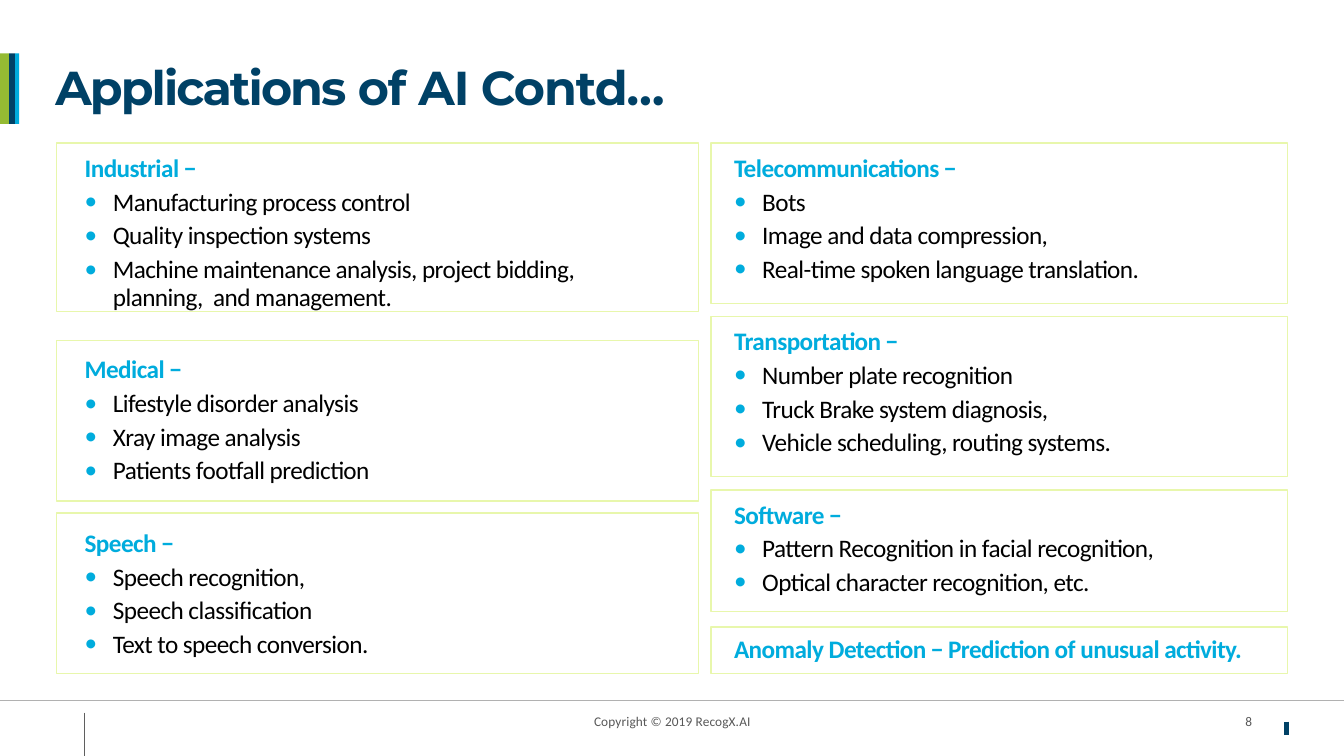
from dataclasses import dataclass

import pptx
import pptx.dml.color
import pptx.enum.shapes
import pptx.enum.text
import pptx.oxml
import pptx.oxml.ns
import pptx.util
from pptx.dml.color import RGBColor
from pptx.util import Inches, Pt

NAVY = RGBColor(0x00, 0x41, 0x66)
CYAN = RGBColor(0x00, 0xAC, 0xDD)
GREEN = RGBColor(0x95, 0xBB, 0x33)
LIME = RGBColor(0xE8, 0xF7, 0xAC)
BLACK = RGBColor(0x00, 0x00, 0x00)
FOOTER_GREY = RGBColor(0x58, 0x58, 0x58)
RULE_GREY = RGBColor(0xB1, 0xB1, 0xB1)
MARK_GREY = RGBColor(0x5F, 0x5F, 0x5F)

ALIGN = pptx.enum.text.PP_ALIGN
MIDDLE = pptx.enum.text.MSO_ANCHOR.MIDDLE
TOP = pptx.enum.text.MSO_ANCHOR.TOP

TITLE_FONT = {"name": "Montserrat", "size": Pt(34), "bold": True}
HEADING_FONT = {"name": "Calibri", "size": Pt(18), "bold": True}
ITEM_FONT = {"name": "Calibri", "size": Pt(18), "bold": False}
FOOTER_FONT = {"name": "Calibri", "size": Pt(9.5), "bold": False}


@dataclass
class Column:
    left: float
    width: float
    indent: float


@dataclass
class Card:
    column: Column
    top: float
    height: float
    heading: str
    items: tuple[str, ...] = ()
    inset: float = 0.09
    right_inset: float = 0


@dataclass
class Line:
    x1: float
    y1: float
    x2: float
    y2: float
    color: RGBColor
    width: float


@dataclass
class Stripe:
    left: float
    width: float
    color: RGBColor


@dataclass
class Footer:
    left: float
    width: float
    text: str
    align: ALIGN


LEFT = Column(0.56, 6.37, 0.28)
RIGHT = Column(7.05, 5.72, 0.23)

CARDS = [
    Card(RIGHT, 1.42, 1.59, "Telecommunications −",
         ("Bots", "Image and data compression,",
          "Real-time spoken language translation.")),
    Card(RIGHT, 3.14, 1.59, "Transportation −",
         ("Number plate recognition", "Truck Brake system diagnosis,",
          "Vehicle scheduling, routing systems.")),
    Card(RIGHT, 4.86, 1.21, "Software −",
         ("Pattern Recognition in facial recognition,",
          "Optical character recognition, etc.")),
    Card(RIGHT, 6.22, 0.46,
         "Anomaly Detection − Prediction of unusual activity.", inset=0.06),
    Card(LEFT, 1.42, 1.67, "Industrial −",
         ("Manufacturing process control", "Quality inspection systems",
          "Machine maintenance analysis, project bidding, "
          "planning,  and management."), right_inset=0.6),
    Card(LEFT, 3.38, 1.59, "Medical −",
         ("Lifestyle disorder analysis", "Xray image analysis",
          "Patients footfall prediction"), inset=0.13),
    Card(LEFT, 5.09, 1.59, "Speech −",
         ("Speech recognition,", "Speech classiﬁcation",
          "Text to speech conversion."), inset=0.14),
]
STRIPES = [Stripe(0, 0.09, GREEN), Stripe(0.09, 0.06, NAVY),
           Stripe(0.15, 0.04, CYAN)]
LINES = [
    Line(0.84, 7.07, 0.84, 7.5, MARK_GREY, 0.5),
    Line(12.76, 7.16, 12.76, 7.29, NAVY, 2.9),
    Line(0, 6.95, 13.33, 6.95, RULE_GREY, 0.5),
]
FOOTERS = [
    Footer(9.42, 3, "8", ALIGN.RIGHT),
    Footer(4.42, 4.5, "Copyright © 2019 RecogX.AI", ALIGN.CENTER),
]
TITLE_RUNS = [("Applications ", -1.4), ("of ", -0.9), ("AI Contd…", -0.7)]


def add_run(p, text: str, font: dict, color: RGBColor, spacing: float) -> None:
    """Append a run; spacing is the letter spacing in points."""
    r = p.add_run()
    r.text = text
    for name, value in font.items():
        setattr(r.font, name, value)
    r.font.color.rgb = color
    r._r.get_or_add_rPr().set("spc", str(round(spacing * 100)))


def set_frame(tf, anchor, top: float, right: float = 0) -> None:
    frame = {"word_wrap": True, "auto_size": pptx.enum.text.MSO_AUTO_SIZE.NONE,
             "vertical_anchor": anchor, "margin_left": 0, "margin_bottom": 0,
             "margin_top": Inches(top), "margin_right": Inches(right)}
    for name, value in frame.items():
        setattr(tf, name, value)


def set_indent(p, left: float, first: float = 0) -> None:
    pPr = p._p.get_or_add_pPr()
    pPr.set("marL", str(Inches(left)))
    pPr.set("indent", str(Inches(first)))


def add_bullet(p) -> None:
    ns = pptx.oxml.ns.nsdecls("a")
    for xml in (f'<a:buClr {ns}><a:srgbClr val="{CYAN}"/></a:buClr>',
                f'<a:buFont {ns} typeface="Calibri"/>',
                f'<a:buChar {ns} char="•"/>'):
        p._p.get_or_add_pPr().append(pptx.oxml.parse_xml(xml))


def add_rect(s, left: float, top: float, width: float, height: float):
    sp = s.shapes.add_shape(pptx.enum.shapes.MSO_SHAPE.RECTANGLE, Inches(left),
                            Inches(top), Inches(width), Inches(height))
    sp.shadow.inherit = False
    return sp


def add_card(s, card: Card) -> None:
    column = card.column
    sp = add_rect(s, column.left, card.top, column.width, card.height)
    sp.fill.background()
    sp.line.color.rgb = LIME
    sp.line.width = Pt(1)
    tf = sp.text_frame
    set_frame(tf, TOP, card.inset, card.right_inset)
    p = tf.paragraphs[0]
    p.alignment = ALIGN.LEFT
    set_indent(p, column.indent)
    add_run(p, card.heading, HEADING_FONT, CYAN, -0.4)
    for item in card.items:
        p = tf.add_paragraph()
        p.alignment = ALIGN.LEFT
        set_indent(p, column.indent + 0.28, -0.28)
        add_bullet(p)
        p.space_before = Pt(2.4)
        if card.right_inset:
            p.line_spacing = Pt(20) if item == card.items[-1] else 1.0
            p.space_before = Pt(4.4) if item == card.items[-1] else Pt(2.4)
        add_run(p, item, ITEM_FONT, BLACK, -0.4)


def add_stripe(s, stripe: Stripe) -> None:
    sp = add_rect(s, stripe.left, 0.53, stripe.width, 0.7)
    sp.fill.solid()
    sp.fill.fore_color.rgb = stripe.color
    sp.line.fill.background()


def add_line(s, line: Line) -> None:
    cx = s.shapes.add_connector(
        pptx.enum.shapes.MSO_CONNECTOR.STRAIGHT, Inches(line.x1),
        Inches(line.y1), Inches(line.x2), Inches(line.y2))
    cx.line.color.rgb = line.color
    cx.line.width = Pt(line.width)
    ns = pptx.oxml.ns.nsdecls("a")
    cx._element.spPr.append(pptx.oxml.parse_xml(f"<a:effectLst {ns}/>"))


def add_footer(s, footer: Footer) -> None:
    sp = s.shapes.add_textbox(Inches(footer.left), Inches(6.95),
                              Inches(footer.width), Inches(0.4))
    set_frame(sp.text_frame, MIDDLE, 0.01)
    p = sp.text_frame.paragraphs[0]
    p.alignment = footer.align
    add_run(p, footer.text, FOOTER_FONT, FOOTER_GREY, 0.1)


def add_title(s) -> None:
    sp = s.shapes.title
    sp.left, sp.top = Inches(0.54), Inches(0.56)
    sp.width, sp.height = Inches(8.51), Inches(0.59)
    set_frame(sp.text_frame, MIDDLE, 0.01)
    p = sp.text_frame.paragraphs[0]
    p.alignment = ALIGN.LEFT
    set_indent(p, 0.01)
    for text, spacing in TITLE_RUNS:
        add_run(p, text, TITLE_FONT, NAVY, spacing)


def main() -> None:
    prs = pptx.Presentation()
    prs.slide_width, prs.slide_height = Inches(13.33), Inches(7.5)
    s = prs.slides.add_slide(prs.slide_layouts.get_by_name("Title Only"))
    add_title(s)
    for draw, elements in ((add_card, CARDS), (add_stripe, STRIPES),
                           (add_line, LINES), (add_footer, FOOTERS)):
        for element in elements:
            draw(s, element)
    prs.save("out.pptx")


if __name__ == "__main__":
    main()
